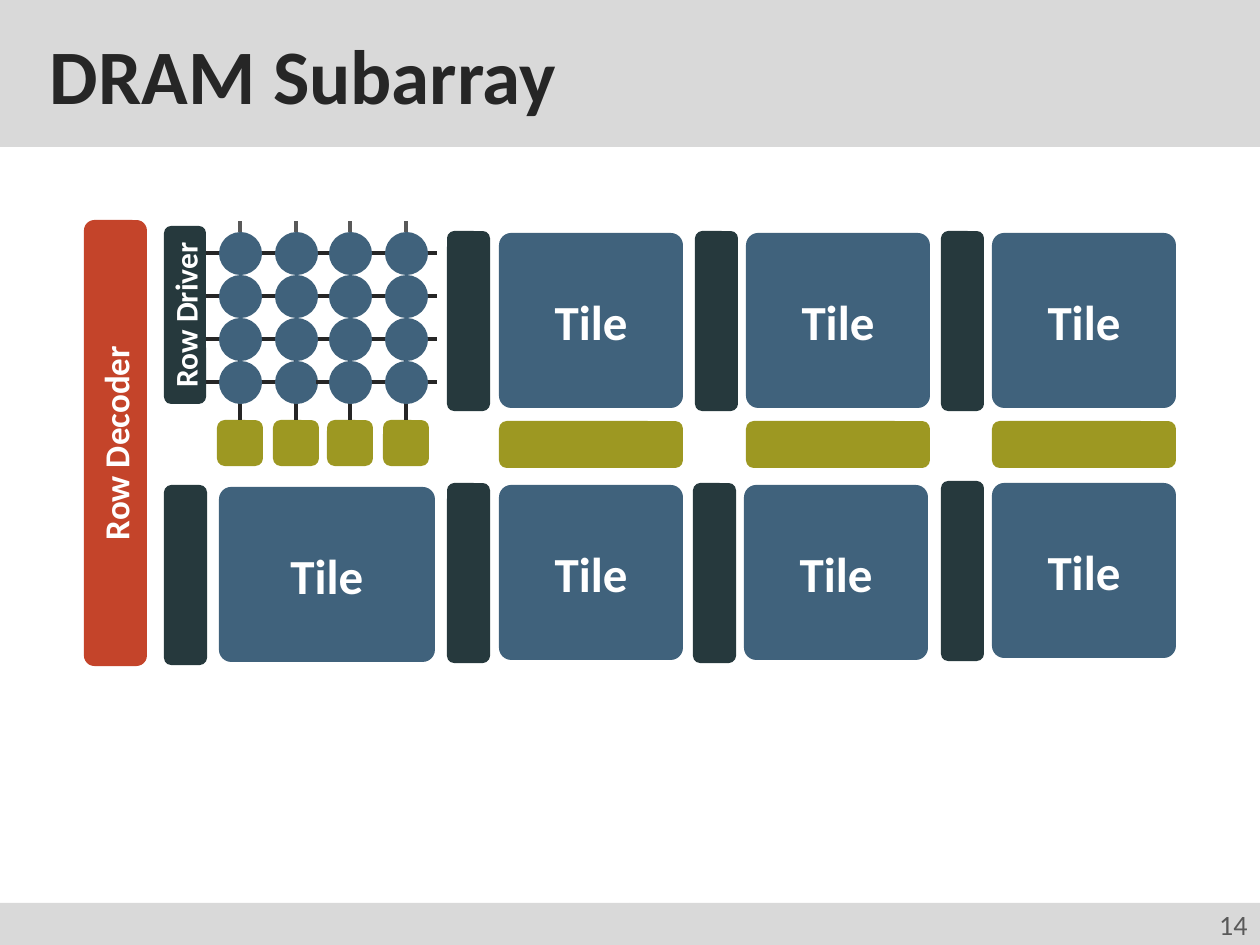
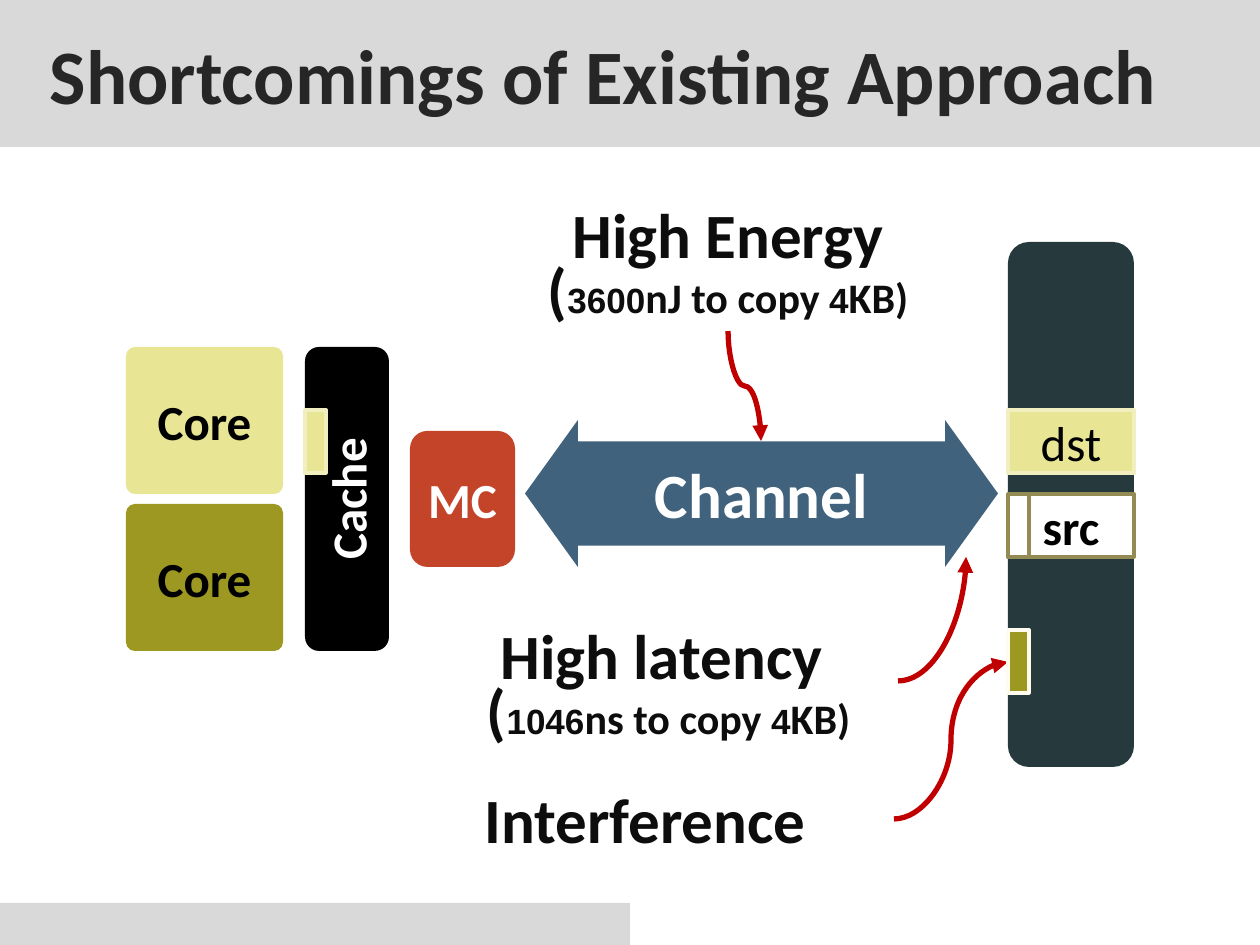
"""Build two slides on DRAM subarrays and the cost of copying over the channel."""
from dataclasses import dataclass

from lxml.etree import SubElement
from pptx import Presentation
from pptx.dml.color import RGBColor
from pptx.enum.shapes import MSO_CONNECTOR, MSO_SHAPE
from pptx.enum.text import MSO_ANCHOR, MSO_AUTO_SIZE, PP_ALIGN
from pptx.oxml.ns import qn
from pptx.util import Emu, Pt


@dataclass(frozen=True)
class Theme:
    """Colours, fonts and type sizes of the deck."""
    band: str = "D9D9D9"
    ink: str = "262626"
    grey: str = "595959"
    note: str = "0D0D0D"
    black: str = "000000"
    white: str = "FFFFFF"
    blue: str = "40627C"
    olive: str = "9D9822"
    cream: str = "E8E595"
    cream_edge: str = "F1EFBF"
    pale_edge: str = "FFFCEF"
    tan_edge: str = "948A54"
    dark: str = "26393D"
    red: str = "C4442A"
    arrow: str = "C00000"
    font: str = "Calibri"
    digit_font: str = "Arial"
    title_size: int = 44
    large: int = 36
    label: int = 28
    detail: int = 24
    digit_size: int = 20
    decoder_size: int = 20
    driver_size: int = 18
    number_size: int = 16


THEME = Theme()
PX_PER_INCH = 126


def px(length):
    """Turn a length in px into EMU."""
    return Emu(round(length * 914400 / PX_PER_INCH))


def style_font(font, size, color=None, bold=None, name=THEME.font):
    """Set the properties of a paragraph or run font."""
    font.name, font.size = name, Pt(size)
    if bold is not None:
        font.bold = bold
    if color:
        font.color.rgb = RGBColor.from_string(color)


def add_box(page, left, top, width, height, fill, kind=MSO_SHAPE.ROUNDED_RECTANGLE,
            adjust=(), edge=None):
    """Add a filled shape, with an edge only if a colour is given."""
    box = page.shapes.add_shape(kind, px(left), px(top), px(width), px(height))
    box.shadow.inherit = False
    box.fill.solid()
    box.fill.fore_color.rgb = RGBColor.from_string(fill)
    if edge:
        box.line.color.rgb = RGBColor.from_string(edge)
        box.line.width = Pt(2)
    else:
        box.line.fill.background()
    for index, value in enumerate(adjust):
        box.adjustments[index] = value
    return box


def write_label(box, text, size=THEME.label, color=THEME.white, bold=True,
                align=PP_ALIGN.CENTER, upward=False):
    """Write one paragraph in the middle of a shape."""
    frame = box.text_frame
    frame.vertical_anchor = MSO_ANCHOR.MIDDLE
    frame.word_wrap = True
    para = frame.paragraphs[0]
    para.text, para.alignment = text, align
    style_font(para.font, size, color, bold)
    if upward:
        frame._txBody.find(qn("a:bodyPr")).set("vert", "vert270")


def add_line(page, start, end, color, width=2.25, kind=MSO_CONNECTOR.STRAIGHT):
    """Add a connector without a shadow."""
    line = page.shapes.add_connector(kind, *map(px, (*start, *end)))
    line.line.color.rgb = RGBColor.from_string(color)
    line.line.width = Pt(width)
    SubElement(line._element.spPr, qn("a:effectLst"))
    return line


def add_curved_arrow(page, start, end, geometry="curvedConnector3", leaves_down=False):
    """Add a curved arrow that leaves sideways or, on request, downwards."""
    if leaves_down:
        (x1, y1), (x2, y2) = start, end
        middle_x, middle_y = (x1 + x2) / 2, (y1 + y2) / 2
        half_width, half_height = (y2 - y1) / 2, (x2 - x1) / 2
        start = middle_x + half_width, middle_y - half_height
        end = middle_x - half_width, middle_y + half_height
    arrow = add_line(page, start, end, THEME.arrow, 3, MSO_CONNECTOR.CURVE)
    properties = arrow._element.spPr
    properties.find(qn("a:prstGeom")).set("prst", geometry)
    if leaves_down:
        properties.find(qn("a:xfrm")).set("rot", "16200000")
    SubElement(properties.find(qn("a:ln")), qn("a:tailEnd"), type="triangle")


def add_note(page, left, top, width, height, heading, detail=(), align=PP_ALIGN.CENTER):
    """Add a bold heading with an optional line of mixed runs below it."""
    box = page.shapes.add_textbox(px(left), px(top), px(width), px(height))
    frame = box.text_frame
    frame.word_wrap = False
    frame.auto_size = MSO_AUTO_SIZE.SHAPE_TO_FIT_TEXT
    para = frame.paragraphs[0]
    para.text, para.alignment = heading, align
    style_font(para.font, THEME.large, THEME.note, True)
    if detail:
        para = frame.add_paragraph()
        para.alignment, para.line_spacing = align, 0.7
        para.font.bold = True
        para.font.color.rgb = RGBColor.from_string(THEME.note)
    for text, size in detail:
        span = para.add_run()
        span.text = text
        name = THEME.digit_font if size == THEME.digit_size else THEME.font
        style_font(span.font, size, name=name)


def cost_runs(bracket, amount, unit):
    """Return the runs of a cost for copying 4KB."""
    return [(bracket, THEME.large), (amount, THEME.digit_size),
            (f"{unit} to copy ", THEME.detail), ("4", THEME.digit_size),
            ("KB)", THEME.detail)]


def add_page(deck, title):
    """Add a blank page with the footer band and the title band."""
    page = deck.slides.add_slide(deck.slide_layouts[6])
    add_box(page, 0, 903, 630, 42, THEME.band, MSO_SHAPE.RECTANGLE)
    band = add_box(page, 0, 0, 1260, 147, THEME.band, MSO_SHAPE.RECTANGLE)
    band.text_frame.margin_left = px(50)
    write_label(band, title, THEME.title_size, THEME.ink, align=PP_ALIGN.LEFT)
    return page


def add_tile(page, driver_left, tile_left, top, width=184):
    """Add a row driver and the tile to its right."""
    add_box(page, driver_left, top, 43, 180, THEME.dark)
    tile = add_box(page, tile_left, top + 2, width, 175, THEME.blue, adjust=[0.07])
    write_label(tile, "Tile")


def add_cell_grid(page):
    """Add the cells of one tile with their wires and sense amplifiers."""
    columns = (240, 296, 350, 406)
    bottom, *upper_rows = (382 - 43 * step for step in range(4))

    def add_cell(center, row):
        add_box(page, center - 21, row - 21, 43, 43, THEME.blue, MSO_SHAPE.OVAL)

    for center in columns:
        add_line(page, (center - 34, bottom), (center + 31, bottom), THEME.ink)
        amplifier = add_box(page, center - 23, 420, 46, 46, THEME.olive)
        bitline = add_line(page, (center, 420), (center, 353), THEME.ink)
        bitline.begin_connect(amplifier, 0)
        add_cell(center, bottom)
    for row in upper_rows:
        add_line(page, (206, row), (437, row), THEME.ink)
        for center in columns:
            add_cell(center, row)
    for center in columns:
        add_line(page, (center, 232), (center, 221), THEME.grey)


def build_subarray(deck):
    """Build the page with the tiles of a subarray."""
    page = add_page(deck, "DRAM Subarray")
    number = add_box(page, 630, 903, 630, 42, THEME.band, MSO_SHAPE.RECTANGLE)
    write_label(number, "14", THEME.number_size, THEME.grey, False, PP_ALIGN.RIGHT)
    add_cell_grid(page)
    driver = add_box(page, 164, 226, 42, 178, THEME.dark)
    write_label(driver, "Row Driver", THEME.driver_size, upward=True)
    for driver_left, tile_left in ((447, 499), (695, 746), (941, 992)):
        add_tile(page, driver_left, tile_left, 231)
        add_box(page, tile_left, 421, 184, 47, THEME.olive)
    decoder = add_box(page, 84, 220, 63, 446, THEME.red)
    write_label(decoder, "Row Decoder", THEME.decoder_size, upward=True)
    for driver_left, tile_left, top in ((941, 992, 481), (693, 744, 483), (447, 499, 483)):
        add_tile(page, driver_left, tile_left, top)
    add_tile(page, 164, 219, 485, 216)


def build_shortcomings(deck):
    """Build the page with the path from core to memory and its costs."""
    page = add_page(deck, "Shortcomings of Existing Approach")
    for top, fill in ((347, THEME.cream), (504, THEME.olive)):
        core = add_box(page, 126, top, 157, 147, fill, adjust=[0.06])
        write_label(core, "Core", color=THEME.black)
    cache = add_box(page, 305, 347, 84, 304, THEME.black)
    write_label(cache, "Cache", upward=True)
    controller = add_box(page, 410, 431, 105, 136, THEME.red)
    write_label(controller, "MC")
    add_box(page, 1008, 242, 126, 525, THEME.dark)
    channel = add_box(page, 525, 420, 473, 147, THEME.blue,
                      MSO_SHAPE.LEFT_RIGHT_ARROW, [0.71, 0.36])
    write_label(channel, "Channel", THEME.large)

    def add_block(left, top, width, fill, edge):
        return add_box(page, left, top, width, 63, fill, MSO_SHAPE.RECTANGLE, edge=edge)

    source = add_block(1008, 494, 126, THEME.white, THEME.tan_edge)
    write_label(source, "src", color=THEME.black)
    target = add_block(1008, 410, 126, THEME.cream, THEME.cream_edge)
    write_label(target, "dst", color=THEME.black, bold=False)
    add_block(1008, 494, 21, THEME.white, THEME.tan_edge)
    add_block(305, 410, 21, THEME.cream, THEME.cream_edge)
    add_note(page, 425, 610, 473, 142, "High latency", cost_runs(" (", "1046", "ns"))
    add_curved_arrow(page, (898, 681), (966, 557), "curvedConnector2")
    add_note(page, 472, 774, 422, 89, "Interference", align=PP_ALIGN.LEFT)
    add_curved_arrow(page, (894, 819), (1008, 662))
    add_note(page, 502, 189, 452, 142, "High Energy", cost_runs("(", "3600", "nJ"))
    add_curved_arrow(page, (728, 331), (761, 441), leaves_down=True)
    add_block(1008, 630, 21, THEME.olive, THEME.pale_edge)


def main():
    """Build and save the deck."""
    deck = Presentation()
    deck.slide_width, deck.slide_height = px(1260), px(945)
    build_subarray(deck)
    build_shortcomings(deck)
    deck.save("out.pptx")


if __name__ == "__main__":
    main()
